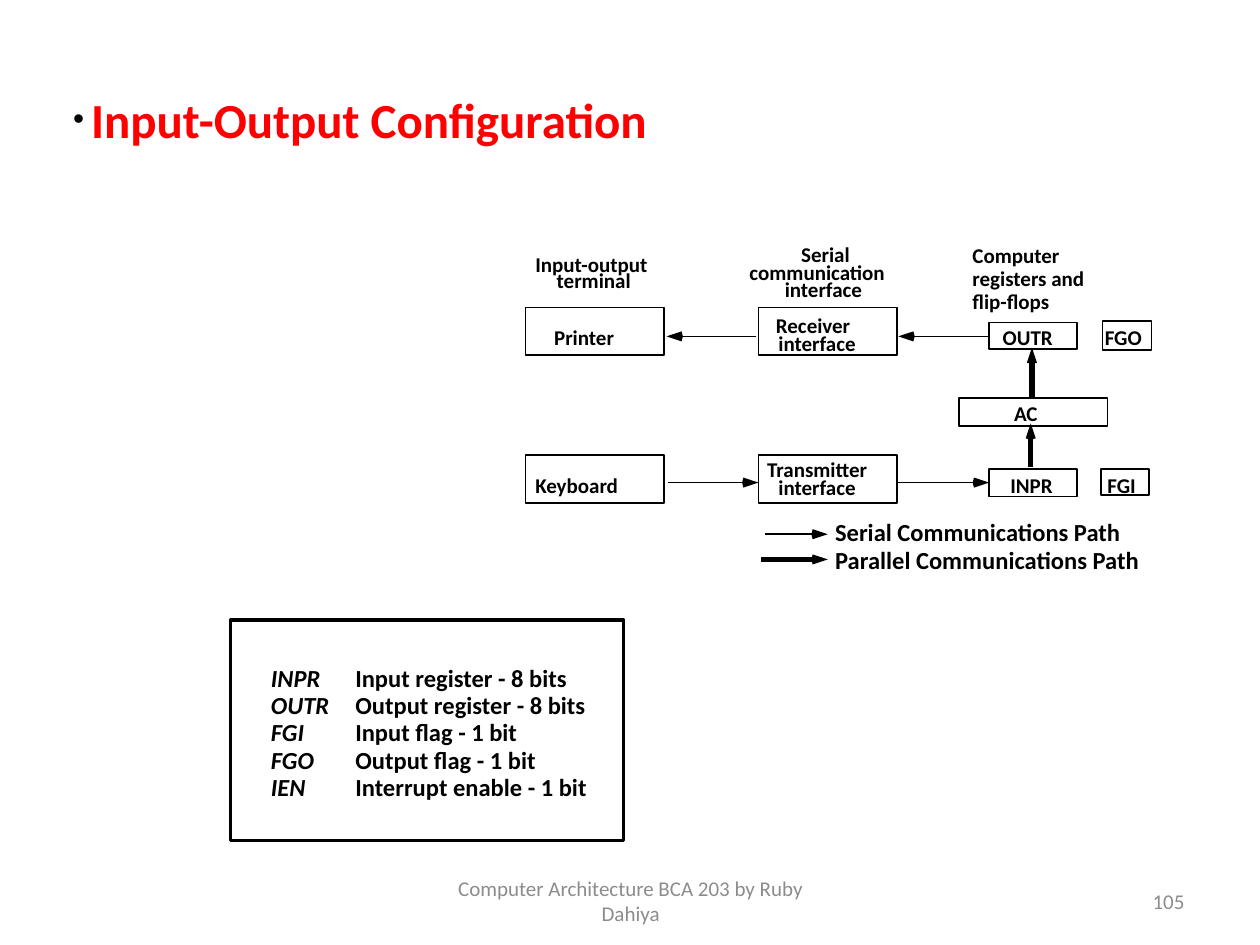
from math import hypot

from lxml.etree import SubElement
from pptx import Presentation
from pptx.dml.color import RGBColor
from pptx.enum.shapes import MSO_CONNECTOR, MSO_SHAPE
from pptx.enum.text import MSO_ANCHOR, MSO_AUTO_SIZE, PP_ALIGN
from pptx.oxml.ns import qn
from pptx.util import Inches, Pt

FONT = "Calibri"
BLACK, RED, GRAY = "000000", "FF0000", "8C8C8C"
LABEL_INSETS = (0.1, 0.05)
TIGHT_INSETS = (0.07, 0.03)
HEAD_LENGTH, HEAD_HALF_WIDTH, HEAD_BULGE = 0.13, 0.04, 0.01

TITLE = "Input-Output Configuration"
FOOTERS = [
    ("Computer Architecture BCA 203 by Ruby Dahiya", (3.42, 6.95, 3.17, 0.4), PP_ALIGN.CENTER),
    ("105", (7.17, 6.95, 2.33, 0.4), PP_ALIGN.RIGHT),
]
REGISTERS = [
    ("INPR", "Input register - 8 bits"),
    ("OUTR", "Output register - 8 bits"),
    ("FGI", "Input flag - 1 bit"),
    ("FGO", "Output flag - 1 bit"),
    ("IEN", "Interrupt enable - 1 bit"),
]
LABELS = [
    (["Input-output"], 4.15, 1.97, 1.18),
    (["terminal"], 4.32, 2.1, 0.85),
    (["Serial"], 6.26, 1.89, 0.65),
    (["communication"], 5.85, 2.03, 1.43),
    (["interface"], 6.13, 2.17, 0.89),
    (["Computer", "registers and", "flip-flops"], 7.62, 1.9, 1.24),
    (["Printer"], 4.3, 2.55, 0.73),
    (["Keyboard"], 4.15, 3.72, 0.97),
    (["Receiver"], 6.06, 2.45, 0.89),
    (["interface"], 6.08, 2.6, 0.89),
    (["Transmitter"], 5.99, 3.6, 1.11),
    (["interface"], 6.08, 3.74, 0.89),
    (["FGO"], 8.67, 2.55, 0.56),
    (["OUTR"], 7.86, 2.55, 0.67),
    (["AC"], 7.95, 3.15, 0.44),
    (["INPR"], 7.92, 3.72, 0.6),
    (["FGI"], 8.69, 3.72, 0.48),
]
LEGEND = [
    (["Serial Communications Path"], 6.53, 4.08, 2.83),
    (["Parallel Communications Path"], 6.53, 4.3, 2.99),
]
DEVICE_BOXES = [(left, top, 1.1, 0.38) for left in (4.17, 6.02) for top in (2.44, 3.61)]
REGISTER_BOXES = [
    (8.75, 2.55, 0.39, 0.23),
    (7.85, 2.56, 0.7, 0.21),
    (7.61, 3.16, 1.18, 0.22),
    (7.85, 3.72, 0.7, 0.22),
    (8.74, 3.72, 0.38, 0.21),
]
REGISTER_FRAME = (1.83, 4.92, 3.12, 1.75)
SERIAL_ARROWS = [
    ((7.84, 2.67), (7.13, 2.67)),
    ((6, 2.67), (5.29, 2.67)),
    ((5.3, 3.83), (6.02, 3.83)),
    ((7.13, 3.83), (7.85, 3.83)),
    ((6.07, 4.24), (6.57, 4.24)),
]
PARALLEL_ARROWS = [
    ((8.19, 3.16), (8.19, 2.76)),
    ((8.18, 3.71), (8.18, 3.36)),
    ((6.04, 4.44), (6.57, 4.44)),
]


def color(value):
    return RGBColor.from_string(value)


def add_run(paragraph, text, size, fill=BLACK, bold=True, italic=False):
    run = paragraph.add_run()
    run.text = text
    font = run.font
    font.name, font.size, font.bold, font.italic = FONT, Pt(size), bold, italic
    font.color.rgb = color(fill)


def format_frame(frame, insets, wrap, anchor=MSO_ANCHOR.TOP, auto_size=MSO_AUTO_SIZE.NONE):
    frame.margin_left = frame.margin_right = Inches(insets[0])
    frame.margin_top = frame.margin_bottom = Inches(insets[1])
    frame.word_wrap, frame.vertical_anchor, frame.auto_size = wrap, anchor, auto_size


def add_text_box(slide, box, insets=LABEL_INSETS, wrap=True, **options):
    frame = slide.shapes.add_textbox(*map(Inches, box)).text_frame
    format_frame(frame, insets, wrap, **options)
    return frame


def next_paragraph(frame, index):
    return frame.add_paragraph() if index else frame.paragraphs[0]


def add_title(slide):
    title = slide.shapes.title
    title.left, title.top, title.width, title.height = map(Inches, (0.51, 0.75, 7.91, 0.46))
    format_frame(title.text_frame, TIGHT_INSETS, True)
    paragraph = title.text_frame.paragraphs[0]
    paragraph.alignment, paragraph.line_spacing = PP_ALIGN.LEFT, 0.85
    paragraph.space_before = Pt(0)
    properties = paragraph._p.get_or_add_pPr()
    properties.set("marL", "0")
    properties.set("indent", "0")
    SubElement(properties, qn("a:buFont")).set("typeface", "Arial")
    SubElement(properties, qn("a:buChar")).set("char", "•")
    add_run(paragraph, " ", 18)
    add_run(paragraph, TITLE, 28, RED)


def add_label(slide, lines, left, top, width, size):
    height = 0.1 + len(lines) * size * 0.015
    frame = add_text_box(slide, (left, top, width, height), wrap=False,
                         auto_size=MSO_AUTO_SIZE.SHAPE_TO_FIT_TEXT)
    for index, line in enumerate(lines):
        paragraph = next_paragraph(frame, index)
        paragraph.line_spacing = 0.9
        add_run(paragraph, line, size)


def add_register_list(slide):
    frame = add_text_box(slide, (2.08, 5.25, 4.25, 1.14), TIGHT_INSETS)
    for index, (name, meaning) in enumerate(REGISTERS):
        paragraph = next_paragraph(frame, index)
        paragraph.alignment, paragraph.line_spacing = PP_ALIGN.JUSTIFY, 0.93
        properties = paragraph._p.get_or_add_pPr()
        properties.set("marL", str(Inches(0.67)))
        properties.set("indent", str(-Inches(0.67)))
        add_run(paragraph, name, 14, italic=True)
        add_run(paragraph, "\t" + meaning, 14)


def add_box(slide, box, line_width):
    shape = slide.shapes.add_shape(MSO_SHAPE.RECTANGLE, *map(Inches, box))
    shape.shadow.inherit = False
    shape.fill.background()
    shape.line.color.rgb = color(BLACK)
    shape.line.width = Pt(line_width)


def add_arrow(slide, start, tip, line_width):
    length = hypot(tip[0] - start[0], tip[1] - start[1])
    along_x, along_y = (tip[0] - start[0]) / length, (tip[1] - start[1]) / length

    def behind_tip(back, side):
        return (Inches(tip[0] - back * along_x - side * along_y),
                Inches(tip[1] - back * along_y + side * along_x))

    base = HEAD_LENGTH - HEAD_BULGE
    end = behind_tip(base, 0)
    line = slide.shapes.add_connector(MSO_CONNECTOR.STRAIGHT, Inches(start[0]), Inches(start[1]), *end)
    line.line.color.rgb = color(BLACK)
    line.line.width = Pt(line_width)
    SubElement(line._element.spPr, qn("a:effectLst"))

    builder = slide.shapes.build_freeform(*behind_tip(0, 0))
    builder.add_line_segments([behind_tip(base, HEAD_HALF_WIDTH), behind_tip(HEAD_LENGTH, 0),
                               behind_tip(base, -HEAD_HALF_WIDTH)])
    head = builder.convert_to_shape()
    head.shadow.inherit = False
    head.fill.solid()
    head.fill.fore_color.rgb = color(BLACK)
    head.line.fill.background()


def main():
    presentation = Presentation()
    presentation.slide_width, presentation.slide_height = Inches(10), Inches(7.5)
    slide = presentation.slides.add_slide(presentation.slide_layouts[5])
    add_title(slide)
    for text, box, alignment in FOOTERS:
        paragraph = add_text_box(slide, box, anchor=MSO_ANCHOR.MIDDLE).paragraphs[0]
        paragraph.alignment = alignment
        add_run(paragraph, text, 12, GRAY, bold=False)
    add_register_list(slide)
    add_box(slide, REGISTER_FRAME, 2)
    for labels, size in ((LABELS, 12), (LEGEND, 14)):
        for label in labels:
            add_label(slide, *label, size)
    for box in DEVICE_BOXES + REGISTER_BOXES:
        add_box(slide, box, 1)
    for arrows, line_width in ((SERIAL_ARROWS, 1), (PARALLEL_ARROWS, 3)):
        for start, tip in arrows:
            add_arrow(slide, start, tip, line_width)
    presentation.save("out.pptx")


if __name__ == "__main__":
    main()
